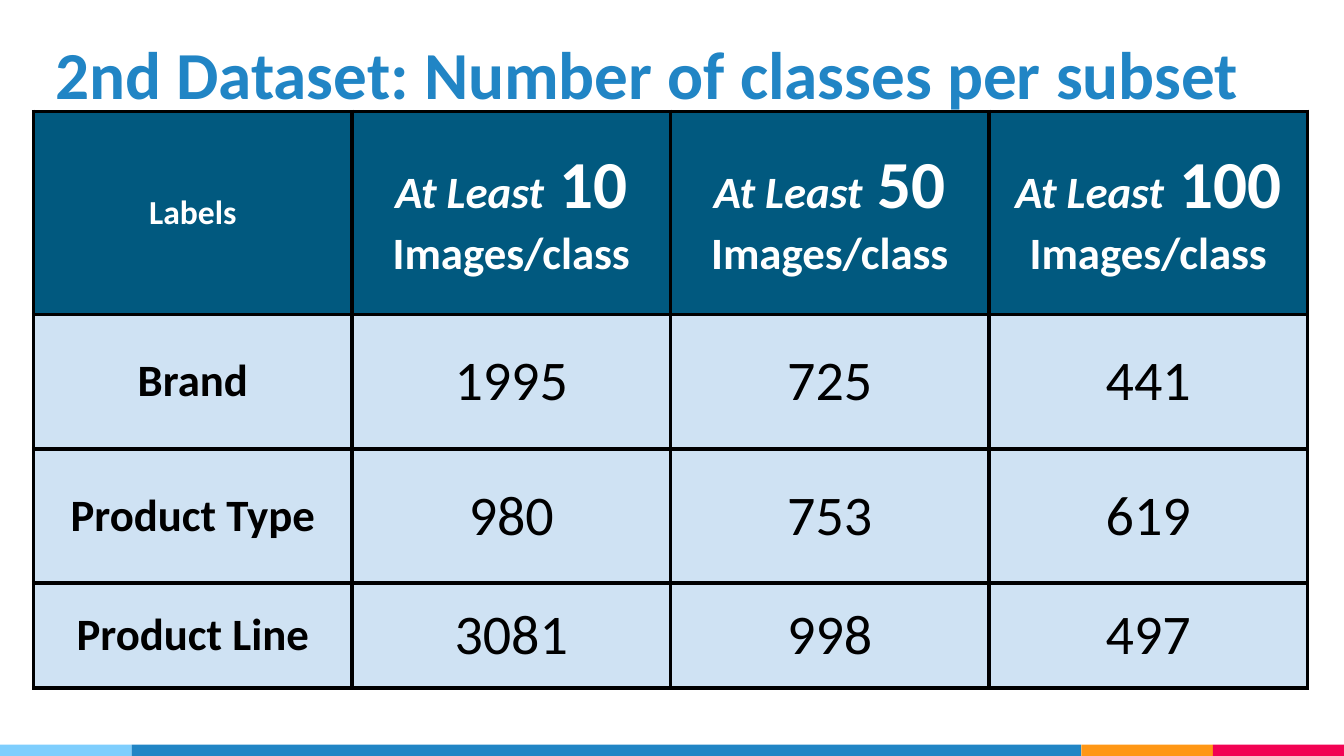
from typing import NamedTuple

from lxml import etree
from pptx import Presentation
from pptx.dml import color
from pptx.enum import shapes, text
from pptx.oxml import ns
from pptx import util as u

FONT = "Calibri"
COLORS = {
    "sky": "7ECEFD", "blue": "2185C5", "orange": "FF9715", "red": "F20253",
    "header": "01597F", "body": "CFE2F3", "white": "FFFFFF", "black": "000000",
}
SLIDE_W, SLIDE_H = 720, 405
BAR_H = 6
INSET = 7.2
TABLE_LEFT, TABLE_TOP, COL_W = 18, 59.76, 170.64
ROW_HEIGHTS = [108.72, 72, 72, 56.16]


class Bar(NamedTuple):
    width: float
    color: str


class Run(NamedTuple):
    text: str
    size: float
    bold: bool = True
    italic: bool = False


class Row(NamedTuple):
    label: str
    counts: tuple[int, ...]


BARS = [Bar(70.5, "sky"), Bar(508.75, "blue"), Bar(70.5, "orange"), Bar(70.25, "red")]
THRESHOLDS = [10, 50, 100]
ROWS = [
    Row("Brand", (1995, 725, 441)),
    Row("Product Type", (980, 753, 619)),
    Row("Product Line", (3081, 998, 497)),
]


def rgb(name: str) -> color.RGBColor:
    return color.RGBColor.from_string(COLORS[name])


def add_run(p, run: Run, ink: str) -> None:
    r = p.add_run()
    r.text = run.text
    r.font.name = FONT
    r.font.size = u.Pt(run.size)
    r.font.bold = run.bold
    r.font.italic = run.italic
    r.font.color.rgb = rgb(ink)


def set_insets(box) -> None:
    box.margin_left = box.margin_right = u.Pt(INSET)
    box.margin_top = box.margin_bottom = u.Pt(INSET)


def add_borders(cell) -> None:
    props = cell._tc.get_or_add_tcPr()
    for side in ("a:lnL", "a:lnR", "a:lnT", "a:lnB"):
        line = etree.SubElement(props, ns.qn(side), w=str(u.Pt(2.25)))
        fill = etree.SubElement(line, ns.qn("a:solidFill"))
        etree.SubElement(fill, ns.qn("a:srgbClr"), val=COLORS["black"])


def fill_cell(cell, runs: list[Run], back: str, ink: str) -> None:
    add_borders(cell)
    cell.fill.solid()
    cell.fill.fore_color.rgb = rgb(back)
    cell.vertical_anchor = text.MSO_ANCHOR.MIDDLE
    set_insets(cell)
    p = cell.text_frame.paragraphs[0]
    p.alignment = text.PP_ALIGN.CENTER
    for run in runs:
        add_run(p, run, ink)


def add_bars(s) -> None:
    left = 0.0
    for bar in BARS:
        sp = s.shapes.add_shape(
            shapes.MSO_SHAPE.RECTANGLE,
            u.Pt(left), u.Pt(SLIDE_H - BAR_H), u.Pt(bar.width), u.Pt(BAR_H))
        sp.shadow.inherit = False
        sp.fill.solid()
        sp.fill.fore_color.rgb = rgb(bar.color)
        sp.line.fill.background()
        left += bar.width


def add_class_table(s) -> None:
    columns = len(THRESHOLDS) + 1
    table = s.shapes.add_table(
        len(ROW_HEIGHTS), columns, u.Pt(TABLE_LEFT), u.Pt(TABLE_TOP),
        u.Pt(COL_W * columns), u.Pt(sum(ROW_HEIGHTS))).table
    for column in table.columns:
        column.width = u.Pt(COL_W)
    for row, height in zip(table.rows, ROW_HEIGHTS):
        row.height = u.Pt(height)

    fill_cell(table.cell(0, 0), [Run("Labels", 18)], "header", "white")
    for j, count in enumerate(THRESHOLDS, 1):
        runs = [Run("At Least", 24, italic=True), Run(f" {count}", 36), Run(" Images/class", 24)]
        fill_cell(table.cell(0, j), runs, "header", "white")
    for i, row in enumerate(ROWS, 1):
        fill_cell(table.cell(i, 0), [Run(row.label, 24)], "body", "black")
        for j, count in enumerate(row.counts, 1):
            fill_cell(table.cell(i, j), [Run(str(count), 30, bold=False)], "body", "black")


def set_title(s, words: str) -> None:
    sp = s.shapes.title
    sp.left, sp.top, sp.width, sp.height = u.Pt(22.3), u.Pt(0), u.Pt(697.7), u.Pt(67.7)
    tf = sp.text_frame
    tf.word_wrap = True
    tf.auto_size = text.MSO_AUTO_SIZE.NONE
    tf.vertical_anchor = text.MSO_ANCHOR.BOTTOM
    set_insets(tf)
    p = tf.paragraphs[0]
    p.alignment = text.PP_ALIGN.LEFT
    add_run(p, Run(words, 36), "blue")
    sp.element.getparent().append(sp.element)


def main() -> None:
    prs = Presentation()
    prs.slide_width, prs.slide_height = u.Pt(SLIDE_W), u.Pt(SLIDE_H)
    s = prs.slides.add_slide(prs.slide_layouts[5])
    add_bars(s)
    add_class_table(s)
    set_title(s, "2nd Dataset: Number of classes per subset")
    prs.save("out.pptx")


if __name__ == "__main__":
    main()
